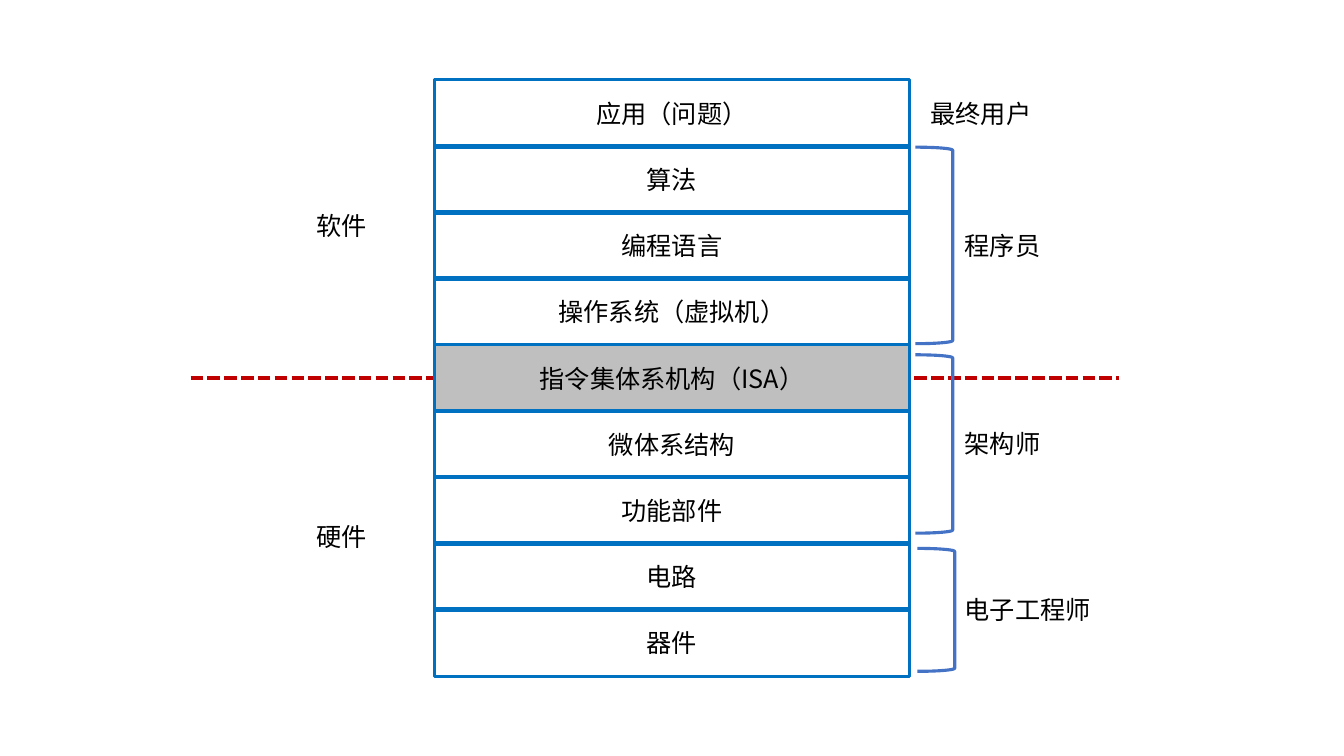
from pptx import Presentation
from pptx.dml.color import RGBColor
from pptx.enum.dml import MSO_LINE
from pptx.enum.shapes import MSO_CONNECTOR, MSO_SHAPE
from pptx.enum.text import MSO_ANCHOR, MSO_AUTO_SIZE, PP_ALIGN
from pptx.oxml.ns import qn
from pptx.util import Inches, Pt
from lxml.etree import SubElement

# Content
LAYERS = ["应用（问题）", "算法", "编程语言", "操作系统（虚拟机）",
          "指令集体系机构（ISA）", "微体系结构", "功能部件", "电路", "器件"]
SPLIT = 4  # the layer between software and hardware
ROLES = [  # text, bracket left, top, height
    ("程序员", 9.08, 1.46, 1.95),
    ("架构师", 9.08, 3.52, 1.77),
    ("电子工程师", 9.1, 5.44, 1.22),
]
SIDES = [("软件", 2.24), ("硬件", 5.32)]  # text, middle
USER = "最终用户"

THEME = {
    "font": "Noto Sans CJK SC", "size": Pt(18), "text": RGBColor(0, 0, 0),
    "edge": RGBColor(0x00, 0x70, 0xC0), "split": RGBColor(0xBF, 0xBF, 0xBF),
    "brace": RGBColor(0x44, 0x72, 0xC4), "dash": RGBColor(0xC0, 0x00, 0x00),
    "line": Pt(2.25), "thick": Pt(3),
}

# Stack geometry in inches
LEFT, TOP, WIDE, HIGH = 4.31, 0.79, 4.71, 0.67
STEP = (6.04 - TOP) / (len(LAYERS) - 1)
TAG = 0.4  # label height

deck = Presentation()
deck.slide_width, deck.slide_height = Inches(13.33), Inches(7.5)
slide = deck.slides.add_slide(deck.slide_layouts[6])
shapes = slide.shapes


def write(frame, text, align):
    para = frame.paragraphs[0]
    para.text = text
    para.alignment = align
    for run in para.runs:
        font = run.font
        font.name, font.size = THEME["font"], THEME["size"]
        font.color.rgb = THEME["text"]
        east = SubElement(font._element, qn("a:ea"))
        east.set("typeface", THEME["font"])


def outline(kind, left, top, wide, high, color):
    shape = shapes.add_shape(kind, Inches(left), Inches(top),
                             Inches(wide), Inches(high))
    shape.shadow.inherit = False
    shape.fill.background()
    shape.line.color.rgb = color
    shape.line.width = THEME["line"]
    return shape


def label(text, left, middle):
    wide = 0.2 + 0.25 * len(text)
    box = shapes.add_textbox(Inches(left), Inches(middle - TAG / 2),
                             Inches(wide), Inches(TAG))
    frame = box.text_frame
    frame.word_wrap = False
    frame.auto_size = MSO_AUTO_SIZE.SHAPE_TO_FIT_TEXT
    write(frame, text, PP_ALIGN.LEFT)


# Dashed border, behind the stack
level = Inches(TOP + SPLIT * STEP + HIGH / 2)
border = shapes.add_connector(MSO_CONNECTOR.STRAIGHT, Inches(1.89), level,
                              Inches(11.1), level)
border.line.color.rgb = THEME["dash"]
border.line.width = THEME["thick"]
border.line.dash_style = MSO_LINE.SQUARE_DOT
SubElement(border._element.spPr, qn("a:effectLst"))

# Stack of layers
for row, name in enumerate(LAYERS):
    layer = outline(MSO_SHAPE.RECTANGLE, LEFT, TOP + row * STEP, WIDE, HIGH,
                    THEME["edge"])
    if row == SPLIT:
        layer.fill.solid()
        layer.fill.fore_color.rgb = THEME["split"]
    layer.text_frame.vertical_anchor = MSO_ANCHOR.MIDDLE
    write(layer.text_frame, name, PP_ALIGN.CENTER)

# Roles on the right
label(USER, 9.13, TOP + HIGH / 2)
for name, left, top, high in ROLES:
    outline(MSO_SHAPE.RIGHT_BRACKET, left, top, 0.37, high, THEME["brace"])
    label(name, 9.47, top + high / 2)

# Sides on the left
for name, middle in SIDES:
    label(name, 3.04, middle)

deck.save("out.pptx")
